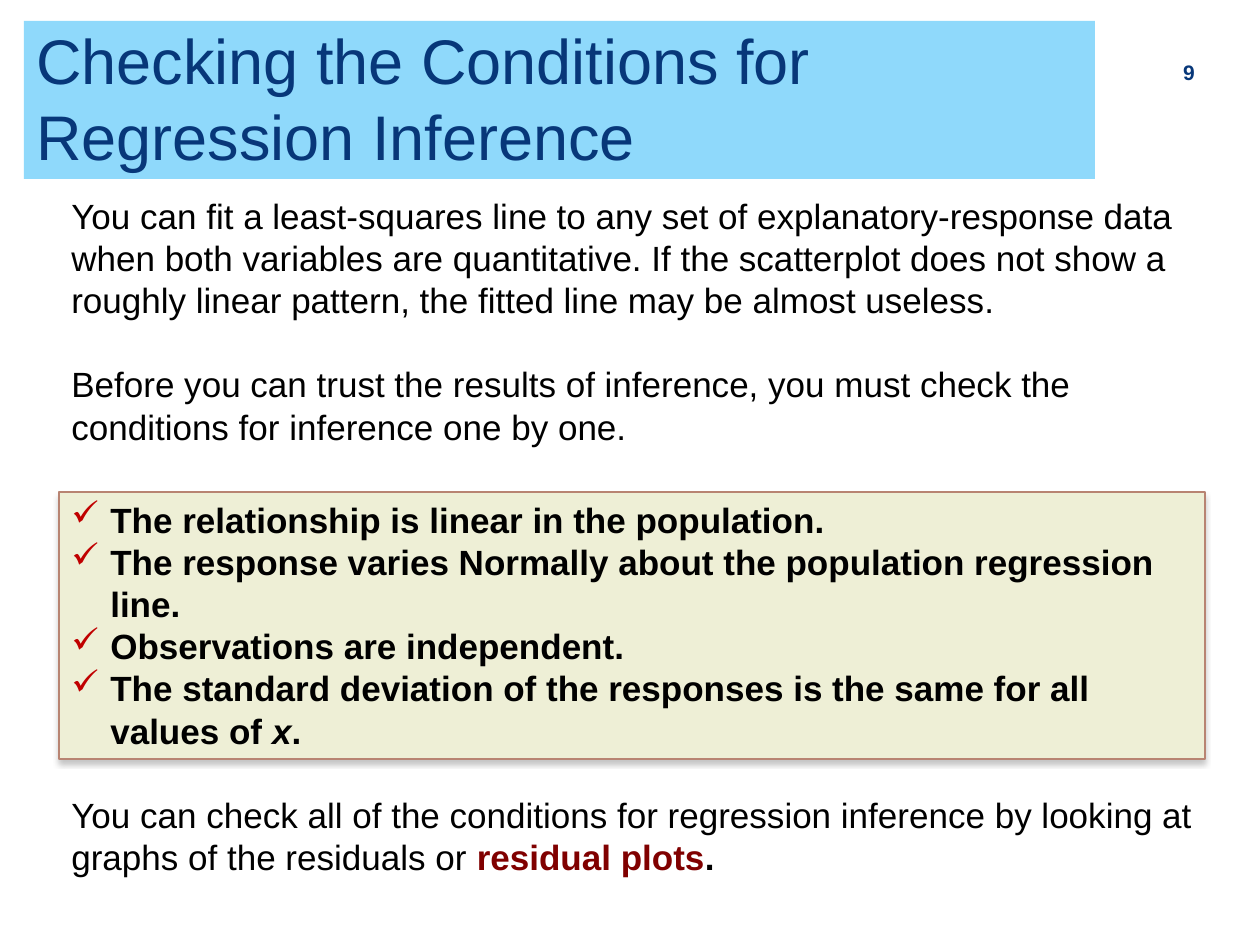
from lxml.etree import SubElement
from pptx import Presentation
from pptx.dml.color import RGBColor
from pptx.enum.shapes import MSO_SHAPE
from pptx.enum.text import MSO_ANCHOR, PP_ALIGN
from pptx.oxml.ns import qn
from pptx.util import Emu, Pt

COLORS = {
    "navy": "073779", "sky": "8FD9FB", "black": "000000", "maroon": "800000",
    "cream": "EEEFD6", "border": "B88472", "check": "C00000", "shadow": "808080",
}
EMU_PER_PX = 914400 / 126


def px(length):
    return Emu(round(length * EMU_PER_PX))


def rgb(name):
    return RGBColor.from_string(COLORS[name])


class SlideBuilder:
    font = "Arial"
    body_size = 20
    body_leading = Pt(24.1)

    def __init__(self, slide):
        self.slide = slide

    def panel(self, left, top, width, height, fill, line=None):
        box = self.slide.shapes.add_shape(
            MSO_SHAPE.RECTANGLE, px(left), px(top), px(width), px(height))
        box.shadow.inherit = False
        box.fill.solid()
        box.fill.fore_color.rgb = rgb(fill)
        if line:
            box.line.color.rgb = rgb(line)
            box.line.width = Pt(0.79)
        else:
            box.line.fill.background()
        return box

    def text_box(self, left, top, width, height):
        return self.slide.shapes.add_textbox(px(left), px(top), px(width), px(height))

    def add_text(self, box, paragraphs, size=body_size, leading=body_leading,
                 gap=0, align=PP_ALIGN.LEFT, anchor=MSO_ANCHOR.TOP):
        """Each paragraph is a list of (text, color, bold, italic) spans."""
        frame = box.text_frame
        frame.word_wrap = True
        frame.vertical_anchor = anchor
        for index, spans in enumerate(paragraphs):
            para = frame.add_paragraph() if index else frame.paragraphs[0]
            para.alignment = align
            para.line_spacing = leading
            para.space_before = Pt(gap if index else 0)
            for text, color, bold, italic in spans:
                span = para.add_run()
                span.text = text
                span.font.name = self.font
                span.font.size = Pt(size)
                span.font.bold = bold
                span.font.italic = italic
                span.font.color.rgb = rgb(color)

    def check_marks(self, box, indent):
        for para in box.text_frame.paragraphs:
            props = para._p.get_or_add_pPr()
            props.set("marL", str(px(indent)))
            props.set("indent", str(-px(indent)))
            color = SubElement(props, qn("a:buClr"))
            SubElement(color, qn("a:srgbClr"), val=COLORS["check"])
            SubElement(props, qn("a:buChar"), char="✓")

    def drop_shadow(self, box):
        effects = box._element.spPr.find(qn("a:effectLst"))
        shadow = SubElement(effects, qn("a:outerShdw"), blurRad=str(Pt(3)),
                            dist=str(Pt(2.4)), dir="5400000", rotWithShape="0")
        color = SubElement(shadow, qn("a:srgbClr"), val=COLORS["shadow"])
        SubElement(color, qn("a:alpha"), val="45000")


def plain(text):
    return (text, "black", False, False)


def strong(text, color="black", italic=False):
    return (text, color, True, italic)


def main():
    deck = Presentation()
    deck.slide_width, deck.slide_height = px(1260), px(945)
    page = SlideBuilder(deck.slides.add_slide(deck.slide_layouts[6]))

    # Title band and page number
    title = page.panel(24, 21, 1071, 158, "sky")
    page.add_text(title, [[("Checking the Conditions for Regression Inference",
                            "navy", False, False)]],
                  size=36, leading=Pt(43.4), anchor=MSO_ANCHOR.BOTTOM)
    number = page.text_box(1138, 49, 69, 50)
    page.add_text(number, [[strong("9", "navy")]], size=12, leading=0.8,
                  align=PP_ALIGN.RIGHT, anchor=MSO_ANCHOR.MIDDLE)

    # Introduction
    intro = page.text_box(59, 188, 1146, 267)
    page.add_text(intro, [
        [plain("You can fit a least-squares line to any set of explanatory-response "
               "data when both variables are quantitative. If the scatterplot does "
               "not show a roughly linear pattern, the fitted line may be almost "
               "useless.")],
        [plain("Before you can trust the results of inference, you must check the "
               "conditions for inference one by one.")],
    ], gap=24)

    # Checklist of conditions
    checklist = page.panel(59, 492, 1146, 267, "cream", "border")
    page.drop_shadow(checklist)
    page.add_text(checklist, [
        [strong("The relationship is linear in the population.")],
        [strong("The response varies Normally about the population regression line.")],
        [strong("Observations are independent.")],
        [strong("The standard deviation of the responses is the same for all values of "),
         strong("x", italic=True), strong(".")],
    ])
    page.check_marks(checklist, 39)

    # Closing remark
    closing = page.text_box(59, 787, 1148, 97)
    page.add_text(closing, [
        [plain("You can check all of the conditions for regression inference by "
               "looking at graphs of the residuals or "),
         strong("residual plots", "maroon"), strong(".")],
    ])

    deck.save("out.pptx")


if __name__ == "__main__":
    main()
